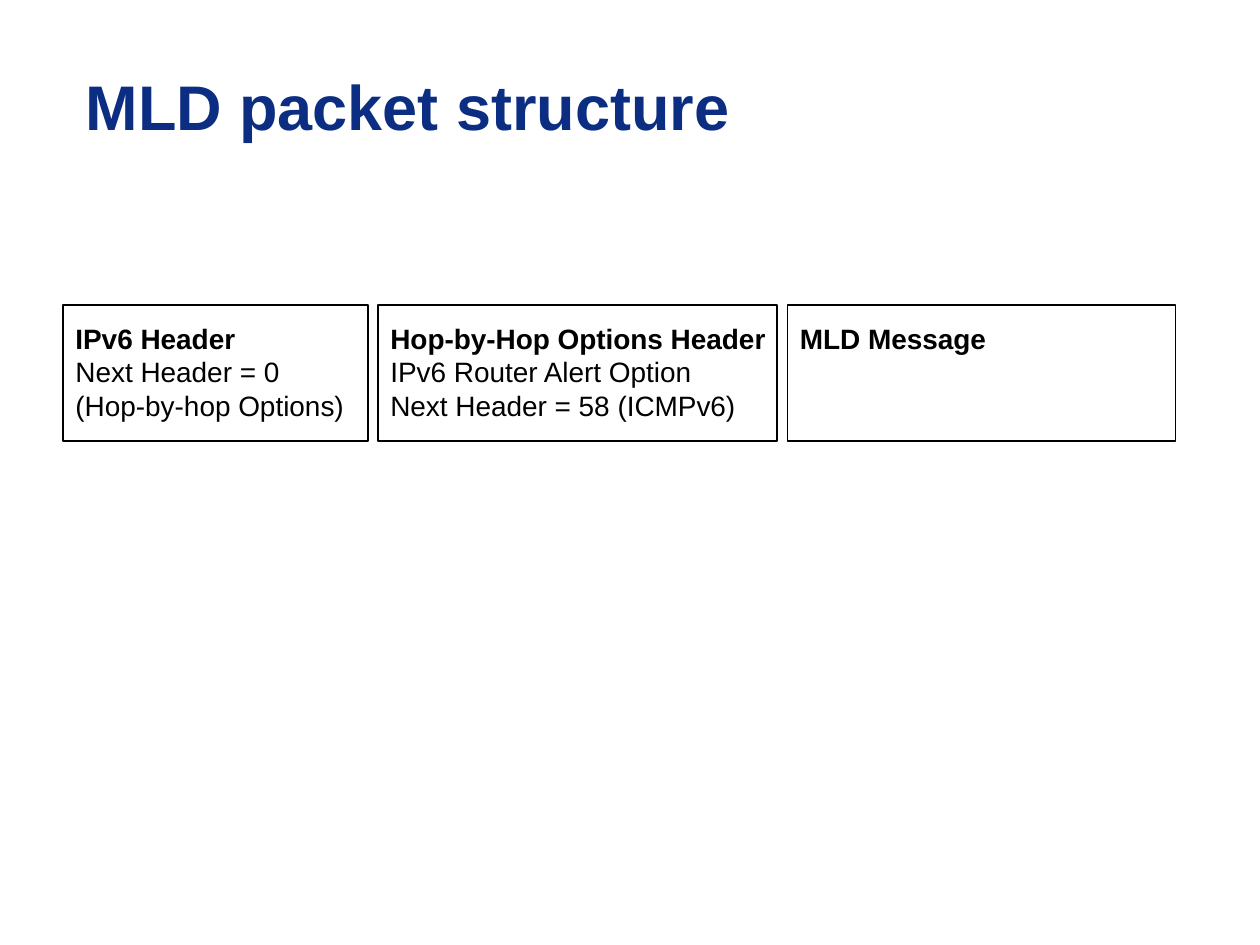
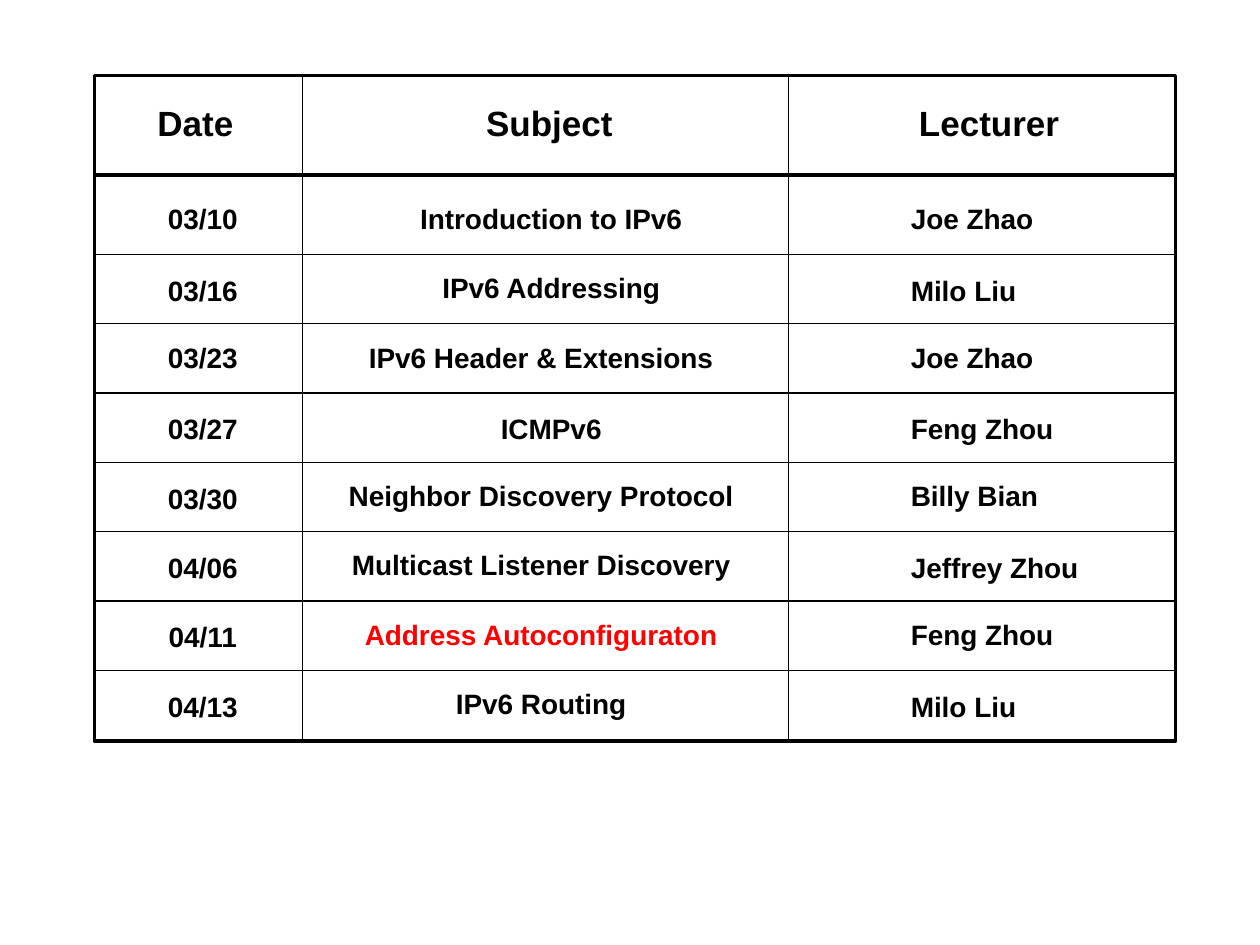
import dataclasses

import lxml.etree
import pptx
import pptx.dml.color
import pptx.enum.shapes
import pptx.enum.text
import pptx.oxml.ns
import pptx.util

Inches = pptx.util.Inches
Pt = pptx.util.Pt
ALIGN = pptx.enum.text.PP_ALIGN
ANCHOR = pptx.enum.text.MSO_ANCHOR


def rgb(code):
    return pptx.dml.color.RGBColor.from_string(code)


@dataclasses.dataclass(frozen=True)
class Theme:
    font: str = "Arial"
    title_color: str = "0C2E82"
    ink: str = "000000"
    paper: str = "FFFFFF"
    highlight: str = "FF0000"
    title_size: int = 36
    heading_size: int = 20
    body_size: int = 16
    thin_line: float = 0.75
    box_line: float = 1
    thick_line: float = 2


THEME = Theme()

# Packet parts: width in inches, heading, details
PACKET_PARTS = [
    (2.42, "IPv6 Header", ["Next Header = 0", "(Hop-by-hop Options)"]),
    (3.17, "Hop-by-Hop Options Header",
     ["IPv6 Router Alert Option", "Next Header = 58 (ICMPv6)"]),
    (3.08, "MLD Message", []),
]

SCHEDULE = [
    ("03/10", "Introduction to IPv6", "Joe Zhao"),
    ("03/16", "IPv6 Addressing", "Milo Liu"),
    ("03/23", "IPv6 Header & Extensions", "Joe Zhao"),
    ("03/27", "ICMPv6", "Feng Zhou"),
    ("03/30", "Neighbor Discovery Protocol", "Billy Bian"),
    ("04/06", "Multicast Listener Discovery", "Jeffrey Zhou"),
    ("04/11", "Address Autoconfiguraton", "Feng Zhou"),
    ("04/13", "IPv6 Routing", "Milo Liu"),
]
CURRENT_SUBJECT = "Address Autoconfiguraton"
HEADING_HEIGHT = 0.79
FIRST_ROW_HEIGHT = 0.63
ROW_HEIGHT = 0.55


@dataclasses.dataclass(frozen=True)
class Column:
    """Lengths are inches from the left edge of the schedule."""
    heading: str
    heading_left: float
    left: float
    width: float
    align: ALIGN
    lowered_rows: tuple
    shifted_rows: tuple = ()


COLUMNS = [
    Column("Date", -0.06, 0.39, 0.94, ALIGN.CENTER, (1, 3, 4, 5, 6, 7)),
    Column("Subject", 2.75, 1.81, 3.47, ALIGN.CENTER, (3,), (0, 1, 3)),
    Column("Lecturer", 6.24, 6.38, 1.65, ALIGN.LEFT, (1, 3, 5, 7)),
]
DIVIDERS = [1.65, 5.51]
LOWERING = 0.02
SHIFT = 0.08


def apply(target, values):
    for name, value in values.items():
        setattr(target, name, value)


def write(para, text, size, color=THEME.ink, bold=True, align=ALIGN.LEFT):
    para.alignment = align
    span = para.add_run()
    span.text = text
    apply(span.font, {"name": THEME.font, "size": Pt(size), "bold": bold})
    span.font.color.rgb = rgb(color)


def add_box(page, left, top, width, height, line_width):
    box = page.shapes.add_shape(
        pptx.enum.shapes.MSO_SHAPE.RECTANGLE,
        Inches(left), Inches(top), Inches(width), Inches(height))
    box.shadow.inherit = False
    box.line.color.rgb = rgb(THEME.ink)
    box.line.width = Pt(line_width)
    return box


def add_rule(page, start, end, line_width):
    rule = page.shapes.add_connector(
        pptx.enum.shapes.MSO_CONNECTOR.STRAIGHT,
        *(Inches(length) for length in start + end))
    rule.line.color.rgb = rgb(THEME.ink)
    rule.line.width = Pt(line_width)
    lxml.etree.SubElement(rule._element.spPr, pptx.oxml.ns.qn("a:effectLst"))


def add_label(page, text, left, top, width, height, size, **style):
    label = page.shapes.add_textbox(
        Inches(left), Inches(top), Inches(width), Inches(height))
    label.text_frame.word_wrap = True
    write(label.text_frame.paragraphs[0], text, size, **style)


def place_title(page, text, left, top, width, height):
    title = page.shapes.title
    apply(title, {"left": Inches(left), "top": Inches(top),
                  "width": Inches(width), "height": Inches(height)})
    apply(title.text_frame, {"vertical_anchor": ANCHOR.MIDDLE, "word_wrap": True,
                             "auto_size": pptx.enum.text.MSO_AUTO_SIZE.NONE})
    write(title.text_frame.paragraphs[0], text, THEME.title_size, THEME.title_color)


def add_packet_part(page, heading, details, left, top, width, height):
    box = add_box(page, left, top, width, height, THEME.box_line)
    box.fill.solid()
    box.fill.fore_color.rgb = rgb(THEME.paper)
    frame = box.text_frame
    apply(frame, {"word_wrap": True, "vertical_anchor": ANCHOR.TOP,
                  "margin_left": Inches(0.1), "margin_right": 0,
                  "margin_top": Inches(0.13), "margin_bottom": 0})
    write(frame.paragraphs[0], heading, THEME.body_size)
    for detail in details:
        write(frame.add_paragraph(), detail, THEME.body_size, bold=False)


def add_packet(page, left, top, height, gap):
    for width, heading, details in PACKET_PARTS:
        add_packet_part(page, heading, details, left, top, width, height)
        left += width + gap


def add_schedule_grid(page, left, top, width, height):
    add_box(page, left, top, width, height, THEME.thick_line).fill.background()
    right, bottom = left + width, top + height
    # Rule under the headings, then one between each pair of rows
    level = top + HEADING_HEIGHT
    add_rule(page, (left, level), (right, level), THEME.thick_line)
    level += FIRST_ROW_HEIGHT
    for row in range(len(SCHEDULE) - 1):
        y = level + row * ROW_HEIGHT
        add_rule(page, (left, y), (right, y), THEME.thin_line)
    for divider in DIVIDERS:
        x = left + divider
        add_rule(page, (x, top), (x, bottom), THEME.thin_line)


def add_schedule_column(page, column, entries, left, top):
    add_label(page, column.heading, left + column.heading_left, top + 0.16,
              1.72, 0.44, THEME.heading_size, align=ALIGN.CENTER)
    for row, text in enumerate(entries):
        x = left + column.left + SHIFT * (row in column.shifted_rows)
        y = top + 0.95 + row * ROW_HEIGHT + LOWERING * (row in column.lowered_rows)
        color = THEME.highlight if text == CURRENT_SUBJECT else THEME.ink
        add_label(page, text, x, y, column.width, 0.37, THEME.body_size,
                  color=color, align=column.align)


def add_schedule(page, left, top, width, height):
    add_schedule_grid(page, left, top, width, height)
    for column, entries in zip(COLUMNS, zip(*SCHEDULE)):
        add_schedule_column(page, column, entries, left, top)


def build_packet_page(deck):
    page = deck.slides.add_slide(deck.slide_layouts.get_by_name("Title Only"))
    place_title(page, "MLD packet structure", 0.58, 0.25, 8.67, 1.17)
    add_packet(page, left=0.5, top=2.42, height=1.08, gap=0.08)


def build_schedule_page(deck):
    page = deck.slides.add_slide(deck.slide_layouts.get_by_name("Blank"))
    add_schedule(page, left=0.75, top=0.6, width=8.58, height=5.28)


def main():
    deck = pptx.Presentation()
    apply(deck, {"slide_width": Inches(10), "slide_height": Inches(7.5)})
    build_packet_page(deck)
    build_schedule_page(deck)
    deck.save("out.pptx")


if __name__ == "__main__":
    main()
